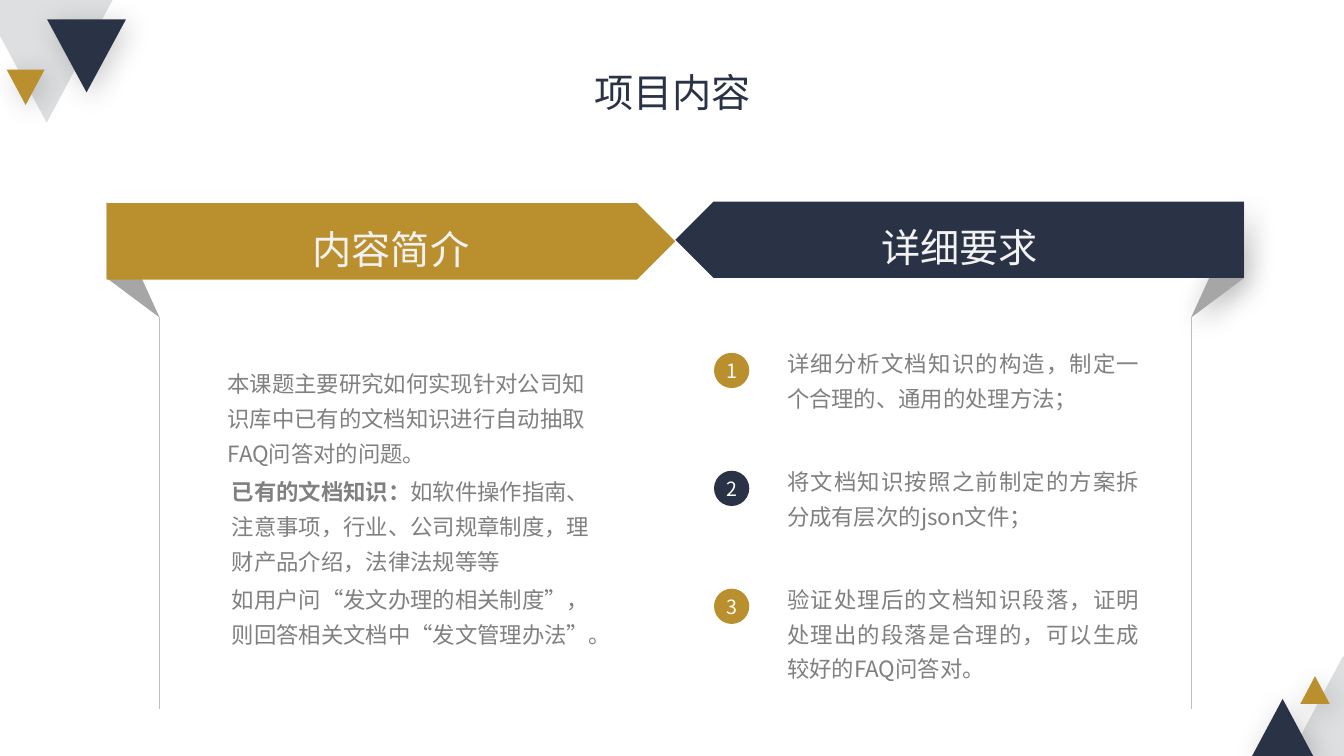
from dataclasses import dataclass
from lxml.etree import SubElement as Sub
from pptx import Presentation as Deck
from pptx.dml.color import RGBColor as Rgb
from pptx.enum.shapes import MSO_CONNECTOR as Link, MSO_SHAPE as Kind
from pptx.enum.text import MSO_ANCHOR as Anchor, PP_ALIGN as Align
from pptx.oxml.ns import qn
from pptx.util import Inches, Pt


@dataclass(frozen=True)
class Theme:
    font: str = "Noto Sans CJK SC"
    gold: str = "BA8F2D"
    navy: str = "2A3246"
    pale: str = "DDDFE0"
    fold: str = "A6A6A6"
    rule: str = "BFBFBF"
    text: str = "808080"
    light: str = "F2F2F2"
    white: str = "FFFFFF"
    head: int = 28
    body: int = 16
    mark: int = 14


class Page:
    COLS, ROWS = 160, 90

    def __init__(self, deck, theme):
        self.theme = theme
        self.col = deck.slide_width / self.COLS
        self.row = deck.slide_height / self.ROWS
        self.shapes = deck.slides.add_slide(deck.slide_layouts[6]).shapes

    def grid(self, *spots):
        return [round(n * (self.row if i % 2 else self.col)) for i, n in enumerate(spots)]

    def paint(self, shape, color, shade=0):
        shape.shadow.inherit = False
        shape.fill.solid()
        shape.fill.fore_color.rgb = Rgb.from_string(color)
        shape.line.fill.background()
        if shade:
            glow = Sub(shape._element.spPr.find(qn("a:effectLst")), qn("a:outerShdw"),
                       blurRad=str(Pt(20)), dist=str(Pt(5)), dir="2700000",
                       algn="tl", rotWithShape="0")
            tint = Sub(glow, qn("a:srgbClr"), val="000000")
            Sub(tint, qn("a:alpha"), val=str(shade * 1000))
        return shape

    def shape(self, kind, box, color, shade=0, turn=0):
        item = self.shapes.add_shape(kind, *self.grid(*box))
        item.rotation = turn
        return self.paint(item, color, shade)

    def flap(self, spots, color, shade=0):
        first, *rest = [self.grid(*spot) for spot in spots]
        pen = self.shapes.build_freeform(*first)
        pen.add_line_segments(rest)
        return self.paint(pen.convert_to_shape(), color, shade)

    def line(self, ends, color):
        rule = self.shapes.add_connector(Link.STRAIGHT, *self.grid(*ends))
        rule.line.color.rgb = Rgb.from_string(color)
        rule.line.width = Pt(0.5)
        Sub(rule._element.spPr, qn("a:effectLst"))

    def label(self, shape, parts, size, color, align=Align.CENTER, space=1.3,
              anchor=Anchor.MIDDLE, inset=0):
        frame = shape.text_frame
        frame.word_wrap = True
        frame.vertical_anchor = anchor
        frame.margin_left = frame.margin_right = Inches(inset)
        frame.margin_top = frame.margin_bottom = Inches(inset / 2)
        para = frame.paragraphs[0]
        para.alignment = align
        para.line_spacing = space
        font = para.font
        font.size, font.name = Pt(size), self.theme.font
        font.color.rgb = Rgb.from_string(color)
        Sub(font._element, qn("a:ea"), typeface=self.theme.font)
        for words, bold in parts:
            run = para.add_run()
            run.text = words
            if bold:
                run.font.bold = True

    def text(self, box, parts, size, color, **style):
        self.label(self.shapes.add_textbox(*self.grid(*box)), parts, size, color, **style)

    def prose(self, box, parts, align):
        self.text(box, parts, self.theme.body, self.theme.text,
                  align=align, anchor=Anchor.TOP)


def corners(page, theme):
    for box, color, shade, turn in (
        ((-2.3, 0, 15.7, 14.6), theme.pale, 0, 180),
        ((5.6, 2.3, 9.4, 8.7), theme.navy, 20, 180),
        ((0.8, 8.3, 4.5, 4.2), theme.gold, 20, 180),
        ((152, 78.1, 15.8, 14.8), theme.pale, 0, 0),
        ((148.9, 83.2, 7.6, 7.1), theme.navy, 20, 0),
        ((154.8, 80.5, 3.5, 3.3), theme.gold, 20, 0),
    ):
        page.shape(Kind.ISOSCELES_TRIANGLE, box, color, shade, turn)


def ribbons(page, theme):
    wide, high, edge, hinge = 67.7, 9.1, 12.7, 19
    for words, color, left, top, flip, shade in (
        ("内容简介", theme.gold, edge, 24.2, False, 0),
        ("详细要求", theme.navy, edge + wide, 24, True, 30),
    ):
        side = [page.COLS + 0.8 - x if flip else x for x in (edge, hinge)]
        outer, inner = side
        page.flap(((outer, 24), (inner, 37.8), (outer, 33.1)), theme.fold, shade)
        page.line((inner, 37.7, inner, 84.4), theme.rule)
        band = page.shape(Kind.PENTAGON, (left, top, wide, high), color)
        if flip:
            band._element.spPr.xfrm.set("flipH", "1")
        page.text((left + 16, top + 0.3, wide - 32, 8.5), [(words, False)],
                  theme.head, theme.light, inset=0.1)


def intro(page):
    for left, top, high, parts in (
        (27.1, 43.1, 12.2, [("本课题主要研究如何实现针对公司知识库中已有的文档知识进行自动抽取FAQ问答对的问题。", False)]),
        (27.6, 56, 12.2, [("已有的文档知识：", True),
                          ("如软件操作指南、注意事项，行业、公司规章制度，理财产品介绍，法律法规等等", False)]),
        (27.6, 68.8, 8, [("如用户问“发文办理的相关制度”，则回答相关文档中“发文管理办法”。", False)]),
    ):
        page.prose((left, top, 43.3, high), parts, Align.LEFT)


def needs(page, theme):
    for i, words in enumerate((
        "详细分析文档知识的构造，制定一个合理的、通用的处理方法；",
        "将文档知识按照之前制定的方案拆分成有层次的json文件；",
        "验证处理后的文档知识段落，证明处理出的段落是合理的，可以生成较好的FAQ问答对。",
    )):
        drop = 14.04 * i
        color = theme.navy if i % 2 else theme.gold
        dot = page.shape(Kind.OVAL, (85, 42 + drop, 4.2, 4.2), color)
        page.label(dot, [(str(i + 1), False)], theme.mark, theme.white, space=1)
        page.prose((93.7, 40.7 + drop, 42, 8.4), [(words, False)], Align.JUSTIFY)


def main():
    deck = Deck()
    deck.slide_width, deck.slide_height = Inches(13.33), Inches(7.5)
    theme = Theme()
    page = Page(deck, theme)
    corners(page, theme)
    ribbons(page, theme)
    intro(page)
    needs(page, theme)
    page.text((61.2, 6.4, 37.7, 7.9), [("项目内容", False)],
              theme.head, theme.navy, space=1.2, inset=0.1)
    deck.save("out.pptx")


if __name__ == "__main__":
    main()
